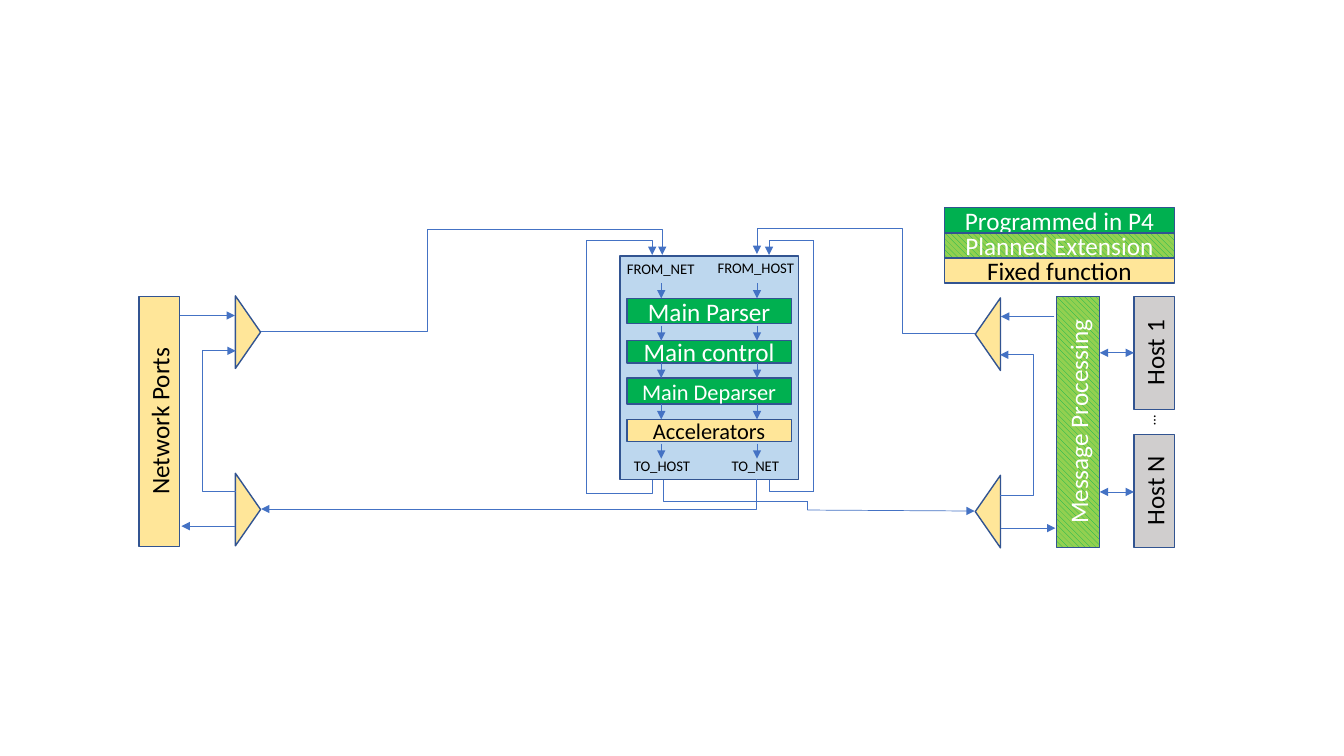
"""Draw the packet pipeline between the network ports and the hosts."""
from dataclasses import dataclass
from typing import Optional

from lxml import etree
from pptx import Presentation, util as u
from pptx.dml.color import RGBColor
from pptx.enum import dml, shapes, text
from pptx.oxml.ns import qn

Point = tuple[float, float]
CELL = u.Inches(0.1)
COLUMNS, ROWS = 133.33, 75


@dataclass(frozen=True)
class Theme:
    """Colours, font and sizes of the slide."""
    font: str = "Calibri"
    large: float = 18
    medium: float = 16
    small: float = 10.5
    outline: float = 1
    wire: float = 0.5
    black: str = "000000"
    white: str = "FFFFFF"
    edge: str = "325491"
    arrow: str = "4472C4"
    programmed: str = "00B050"
    planned: str = "92D050"
    fixed: str = "FFE699"
    host: str = "D0CECE"
    panel: str = "BDD7EE"


THEME = Theme()


@dataclass(frozen=True)
class Block:
    """A filled shape, placed by the grid cells it covers once turned."""
    left: float
    top: float
    width: float
    height: float
    fill: str
    label: str = ""
    size: float = THEME.large
    turn: int = 0
    kind: shapes.MSO_SHAPE = shapes.MSO_SHAPE.RECTANGLE


@dataclass(frozen=True)
class Label:
    """A small caption without fill."""
    left: float
    top: float
    width: float
    height: float
    label: str
    turn: int = 0


@dataclass(frozen=True)
class Wire:
    """A connector whose elbows run across first and then up or down."""
    start: Point
    end: Point
    head: bool = False
    tail: bool = False
    corner: bool = False
    bend: Optional[Point] = None


def colour(value: str) -> RGBColor:
    """Turn a hex value into a colour."""
    return RGBColor.from_string(value)


def frame(item: Block | Label) -> list[int]:
    """Return left, top, width and height before the item is turned."""
    width, height = item.width, item.height
    if item.turn:
        width, height = height, width
    left = item.left + (item.width - width) / 2
    top = item.top + (item.height - height) / 2
    return [round(cells * CELL) for cells in (left, top, width, height)]


def write(box, words: str, size: float, ink: str, align: text.PP_ALIGN) -> None:
    """Set and format the text of a box."""
    box.text_frame.text = words
    para = box.text_frame.paragraphs[0]
    para.alignment = align
    for span in para.runs:
        span.font.name = THEME.font
        span.font.size = u.Pt(size)
        span.font.color.rgb = colour(ink)


def draw_block(page, block: Block) -> None:
    """Draw a block with its label."""
    box = page.shapes.add_shape(block.kind, *frame(block))
    box.rotation = block.turn
    box.shadow.inherit = False
    if block.fill == THEME.planned:
        box.fill.patterned()
        box.fill.pattern = dml.MSO_PATTERN.WIDE_DOWNWARD_DIAGONAL
        box.fill.fore_color.rgb = colour(THEME.programmed)
        box.fill.back_color.rgb = colour(THEME.planned)
    else:
        box.fill.solid()
        box.fill.fore_color.rgb = colour(block.fill)
    box.line.color.rgb = colour(THEME.edge)
    box.line.width = u.Pt(THEME.outline)
    if block.label:
        green = block.fill in (THEME.programmed, THEME.planned)
        box.text_frame.vertical_anchor = text.MSO_ANCHOR.MIDDLE
        write(box, block.label, block.size,
              THEME.white if green else THEME.black, text.PP_ALIGN.CENTER)


def draw_label(page, label: Label) -> None:
    """Draw a caption."""
    box = page.shapes.add_textbox(*frame(label))
    box.rotation = label.turn
    box.text_frame.word_wrap = bool(label.turn)
    align = text.PP_ALIGN.CENTER if label.turn else text.PP_ALIGN.LEFT
    write(box, label.label, THEME.small, THEME.black, align)


def draw_wire(page, wire: Wire) -> None:
    """Draw a connector with its bends and arrowheads."""
    (x1, y1), (x2, y2) = wire.start, wire.end
    line = page.shapes.add_connector(
        shapes.MSO_CONNECTOR.STRAIGHT,
        *(round(cells * CELL) for cells in (x1, y1, x2, y2)))
    line.line.color.rgb = colour(THEME.arrow)
    line.line.width = u.Pt(THEME.wire)
    properties = line._element.spPr
    geometry = properties.find(qn("a:prstGeom"))
    if wire.corner:
        geometry.set("prst", "bentConnector2")
    if wire.bend:
        geometry.set("prst", "bentConnector4")
        shares = ((wire.bend[0] - x1) / (x2 - x1), (wire.bend[1] - y1) / (y2 - y1))
        for number, share in enumerate(shares, 1):
            etree.SubElement(geometry.find(qn("a:avLst")), qn("a:gd"),
                             name=f"adj{number}", fmla=f"val {round(share * 100000)}")
    for shown, tag in ((wire.head, "a:headEnd"), (wire.tail, "a:tailEnd")):
        if shown:
            etree.SubElement(properties.find(qn("a:ln")), qn(tag), type="triangle")
    etree.SubElement(properties, qn("a:effectLst"))


MUXES = [Block(left, top, 2.5, 7.2, THEME.fixed, turn=turn,
               kind=shapes.MSO_SHAPE.ISOSCELES_TRIANGLE)
         for left, tops, turn in ((23.35, (29.35, 46.95), 90), (96.75, (29.55, 47.15), 270))
         for top in tops]
LEGEND = [Block(93.7, top, 22.8, 2.5, fill, label) for top, fill, label in (
    (20.6, THEME.programmed, "Programmed in P4"),
    (25.6, THEME.fixed, "Fixed function"),
    (23.1, THEME.planned, "Planned Extension"))]
HOSTS = [Block(112.5, top, 4, 11.2, THEME.host, label, turn=270)
         for top, label in ((29.4, "Host 1"), (43.1, "Host N"))]
STAGES = [Block(62.2, top, 16.3, height, fill, label, size) for top, height, fill, label, size in (
    (29.6, 2.5, THEME.programmed, "Main Parser", THEME.large),
    (33.8, 2.2, THEME.programmed, "Main control", THEME.large),
    (37.5, 2.6, THEME.programmed, "Main Deparser", THEME.medium),
    (41.6, 2.2, THEME.fixed, "Accelerators", THEME.medium))]
BLOCKS = [
    Block(104.8, 29.4, 4.3, 24.9, THEME.planned, "Message Processing", turn=270),
    Block(13.8, 29.4, 4, 24.8, THEME.fixed, "Network Ports", turn=270),
    *MUXES, *HOSTS, *LEGEND,
    Block(61.5, 25.4, 17.7, 22.2, THEME.panel), *STAGES]
LABELS = [
    Label(112.7, 40.6, 2.8, 2.6, "…", turn=270),
    Label(61.2, 25.3, 8.9, 2.8, "FROM_NET"), Label(70.2, 25.2, 9.8, 2.8, "FROM_HOST"),
    Label(61.9, 44.8, 7.8, 2.8, "TO_HOST"), Label(71.6, 44.8, 6.8, 2.8, "TO_NET")]
STEPS = [Wire((lane, top), (lane, top + 1.5), tail=True)
         for lane in (65.6, 75.1) for top in (28.1, 32.3, 36, 40.1, 44)]
HOST_LINKS = [Wire((109.1, row), (112.5, row), head=True, tail=True) for row in (35, 48.8)]
MUX_LOOPS = [wire for mux, lane, low, high in ((23.4, 20.1, 48.8, 34.8), (99.2, 102.5, 49.1, 35.2))
             for wire in (Wire((mux, low), (lane, 41), corner=True),
                          Wire((mux, high), (lane, 41), head=True, corner=True))]
PANEL_LOOPS = [wire for lane, port, low in ((58.2, 64.7, 49), (80.7, 76.3, 48.8))
               for wire in (Wire((lane, low), (port, 47.6), corner=True),
                            Wire((lane, 23.8), (port, 25.3), tail=True, corner=True),
                            Wire((lane, low), (lane, 23.8)))]
WIRES = [
    *STEPS, *HOST_LINKS, *MUX_LOOPS, *PANEL_LOOPS,
    Wire((17.9, 31.3), (23.3, 31.3), tail=True),
    Wire((23.3, 52.2), (18, 52.2), tail=True),
    Wire((99.3, 52.4), (104.7, 52.4), tail=True),
    Wire((104.6, 31.4), (99.3, 31.4), tail=True),
    Wire((25.9, 32.9), (65.7, 25.3), tail=True, bend=(42.4, 22.8)),
    Wire((96.7, 33.1), (75.1, 25.2), tail=True, bend=(89.5, 22.7)),
    Wire((25.9, 50.5), (75, 47.5), head=True, corner=True),
    Wire((80.1, 49.7), (65.8, 47.6), corner=True),
    Wire((80.1, 50.6), (80.1, 49.7)),
    Wire((80.1, 50.6), (96.7, 50.7), tail=True)]


def build() -> None:
    """Build and save the deck."""
    deck = Presentation()
    deck.slide_width, deck.slide_height = round(COLUMNS * CELL), ROWS * CELL
    page = deck.slides.add_slide(deck.slide_layouts[6])
    for items, draw in ((BLOCKS, draw_block), (LABELS, draw_label), (WIRES, draw_wire)):
        for item in items:
            draw(page, item)
    deck.save("out.pptx")


build()
